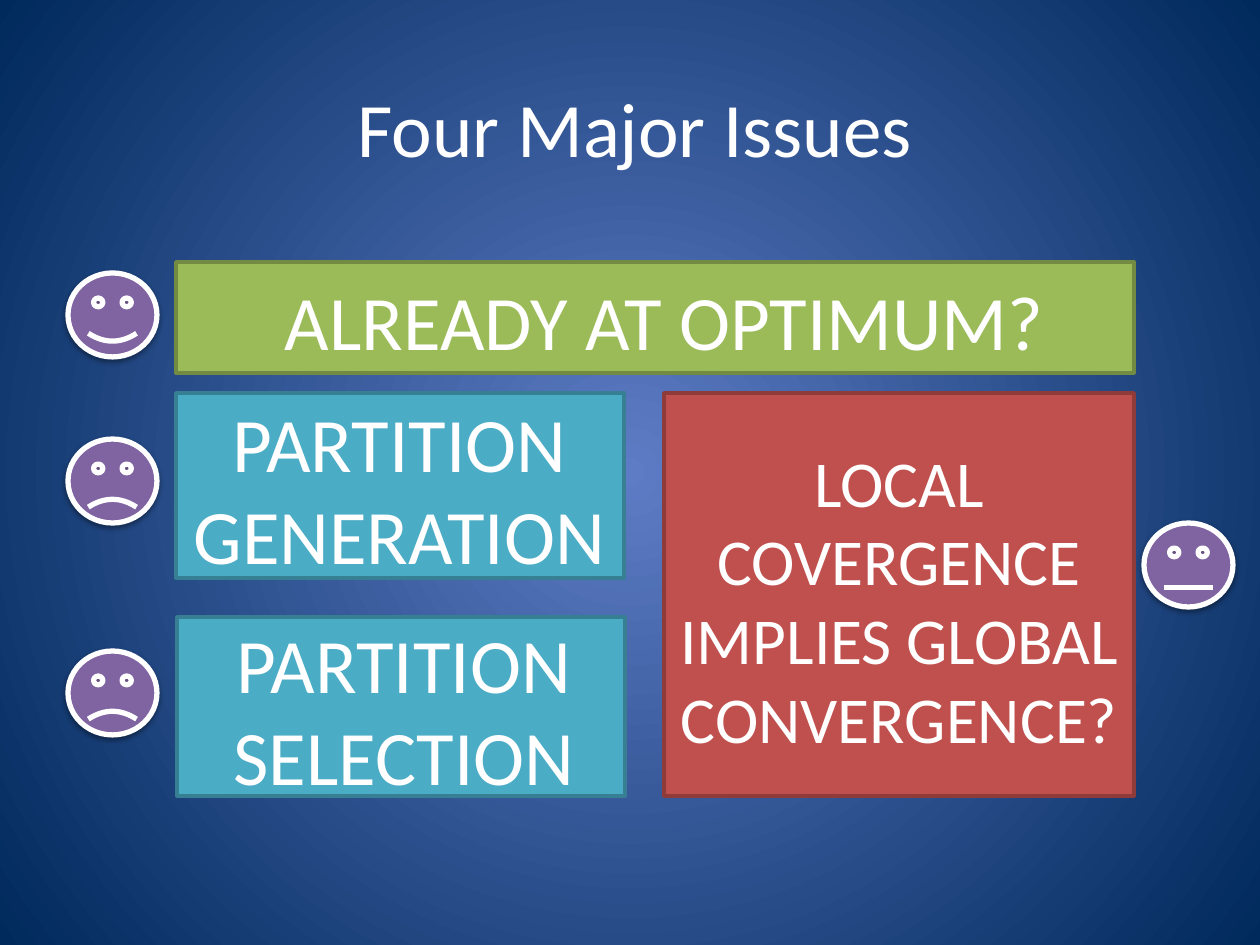
from lxml.etree import SubElement
from pptx import Presentation
from pptx.dml.color import RGBColor
from pptx.enum.shapes import MSO_SHAPE
from pptx.enum.text import MSO_ANCHOR, MSO_AUTO_SIZE, PP_ALIGN
from pptx.oxml.ns import qn
from pptx.util import Emu, Pt

SCALE = 914400 / 126
HUES = {
    "center": "5E7CC5", "edge": "00295C", "white": "FFFFFF", "shade": "000000",
    "teal": "4BACC6", "teal rim": "377F92",
    "red": "C0504D", "red rim": "8E3B39",
    "green": "9BBB59", "green rim": "738A42",
    "violet": "8064A2",
}
FRAME = {"word_wrap": True, "auto_size": MSO_AUTO_SIZE.NONE}


def px(count):
    return Emu(round(count * SCALE))


def hue(name):
    return RGBColor.from_string(HUES[name])


def apply(target, values):
    for name, value in values.items():
        setattr(target, name, value)


def place(shape, box):
    apply(shape, dict(zip(("left", "top", "width", "height"), map(px, box))))


def write(shape, text, size, anchor):
    frame = shape.text_frame
    apply(frame, {**FRAME, "vertical_anchor": anchor})
    para = frame.paragraphs[0]
    para.alignment = PP_ALIGN.CENTER
    run = para.add_run()
    run.text = text
    apply(run.font, {"size": Pt(size), "name": "Calibri"})
    run.font.color.rgb = hue("white")


def draw(slide, kind, box, fill, rim, width):
    shape = slide.shapes.add_shape(kind, *map(px, box))
    shape.shadow.inherit = False
    shape.fill.solid()
    shape.fill.fore_color.rgb = hue(fill)
    shape.line.color.rgb = hue(rim)
    shape.line.width = Pt(width)
    return shape


def paint(slide):
    fill = slide.background.fill
    fill.gradient()
    for stop, name in zip(fill.gradient_stops, ("center", "edge")):
        stop.color.rgb = hue(name)
    grad = slide.element.find(".//" + qn("a:gradFill"))
    grad.remove(grad.find(qn("a:lin")))
    focus = SubElement(grad, qn("a:path"), path="circle")
    SubElement(focus, qn("a:fillToRect"), dict.fromkeys("ltrb", "50000"))


def title(slide, box, text):
    shape = slide.shapes.title
    place(shape, box)
    write(shape, text, 44, MSO_ANCHOR.TOP)


def card(slide, box, pad, fill, text, size=44):
    draw(slide, MSO_SHAPE.RECTANGLE, box, fill, f"{fill} rim", 2)
    x, y, w, h = box
    left, top, right, bottom = pad
    area = (x - left, y - top, w + left + right, h + top + bottom)
    label = slide.shapes.add_textbox(*map(px, area))
    write(label, text, size, MSO_ANCHOR.MIDDLE)


def face(slide, box, mood):
    shape = draw(slide, MSO_SHAPE.SMILEY_FACE, box, "violet", "white", 3)
    shape.adjustments[0] = mood
    effect = shape.element.spPr.find(qn("a:effectLst"))
    shadow = SubElement(effect, qn("a:outerShdw"), blurRad=str(Pt(3.1)),
                        dist=str(Pt(1.6)), dir="5400000", rotWithShape="0")
    color = SubElement(shadow, qn("a:srgbClr"), val=HUES["shade"])
    SubElement(color, qn("a:alpha"), val="38000")


def main():
    deck = Presentation()
    deck.slide_width, deck.slide_height = px(1260), px(945)
    slide = deck.slides.add_slide(deck.slide_layouts[5])
    paint(slide)
    title(slide, (68, 74, 1134, 158), "Four Major Issues")
    cards = (
        ((176, 393, 448, 185), (21, 7, 20, 11), "teal", "PARTITION GENERATION"),
        ((177, 617, 448, 179), (46, 10, 52, 14), "teal", "PARTITION SELECTION"),
        ((664, 393, 470, 403), (9, 5, 10, 14), "red",
         "LOCAL COVERGENCE IMPLIES GLOBAL CONVERGENCE?", 37.4),
        ((176, 262, 958, 111), (76, 10, 95, 14), "green", "ALREADY AT OPTIMUM?"),
    )
    for item in cards:
        card(slide, *item)
    for x, y, mood in ((68, 273, 0.047), (1144, 523, 0),
                       (68, 439, -0.047), (68, 651, -0.047)):
        face(slide, (x, y, 89, 84), mood)
    deck.save("out.pptx")


if __name__ == "__main__":
    main()
